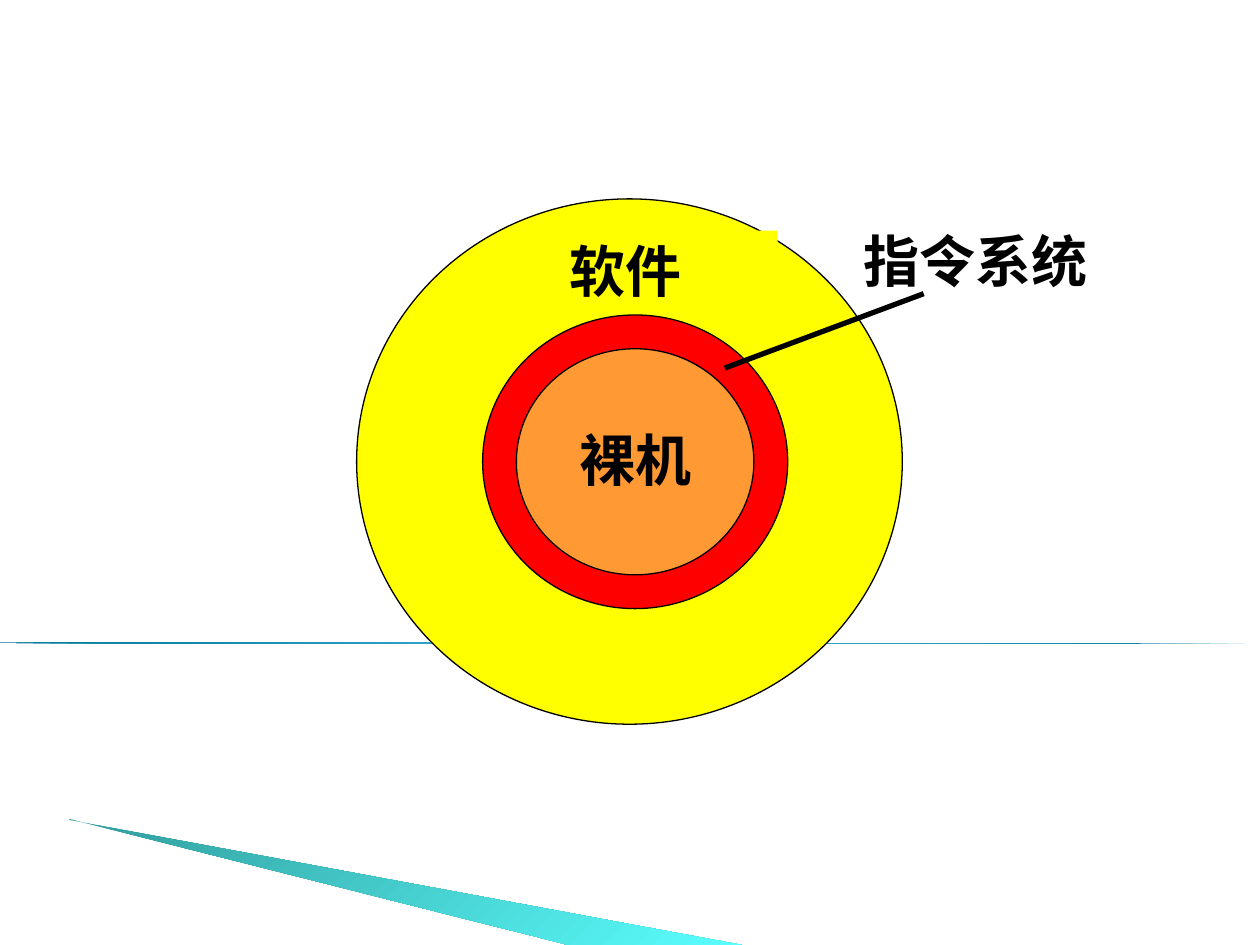
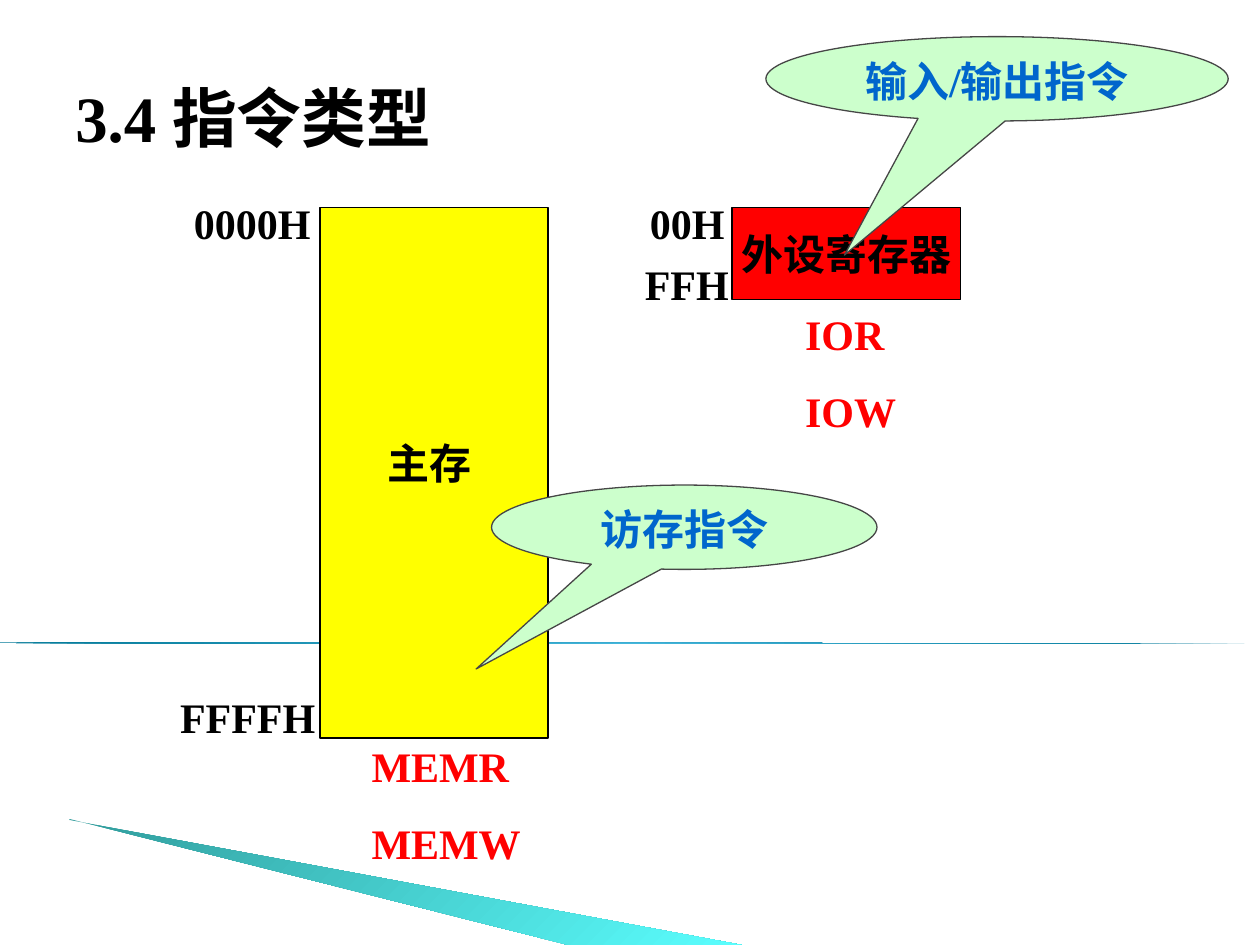
"""Builds two slides on instruction sets: the system rings and the instruction types."""
from dataclasses import dataclass
from typing import Any, Optional

from lxml.etree import SubElement
from pptx import Presentation
from pptx.dml.color import RGBColor
from pptx.enum.shapes import MSO_CONNECTOR, MSO_SHAPE as Preset
from pptx.enum.text import MSO_ANCHOR as Anchor, MSO_AUTO_SIZE as AutoSize, PP_ALIGN as Align
from pptx.oxml.ns import qn
from pptx.util import Cm, Pt


@dataclass(frozen=True)
class Theme:
    latin: str = "Times New Roman"
    east_asian: str = "Noto Sans CJK SC"
    black: str = "000000"
    red: str = "FF0000"
    yellow: str = "FFFF00"
    orange: str = "FF9933"
    mint: str = "CCFFCC"
    blue: str = "0066CC"
    grey: str = "464646"
    rule_stops: tuple = ((0, "007897"), (50, "4ABBE0"), (100, "007897"))
    wedge_stops: tuple = ((0, "319C9C"), (100, "5BFFFF"))
    title_size: float = 37
    ring_size: float = 32
    body_size: float = 24
    outline: float = 0.75
    pointer: float = 3


THEME = Theme()


@dataclass(frozen=True)
class Block:
    box: tuple[float, float, float, float]
    lines: tuple[str, ...] = ()
    preset: Optional[Preset] = None
    fill: Optional[str] = None
    line: Optional[str] = None
    adjustments: tuple[float, ...] = ()
    size: float = THEME.body_size
    color: str = THEME.black
    before: float = 15
    align: Align = Align.LEFT
    anchor: Anchor = Anchor.TOP
    wrap: bool = True


def set_all(target: Any, values: dict[str, Any]) -> None:
    for name, value in values.items():
        setattr(target, name, value)


def rgb(color: str) -> RGBColor:
    return RGBColor.from_string(color)


def write_text(shape: Any, block: Block) -> None:
    frame = shape.text_frame
    set_all(frame, {
        "word_wrap": block.wrap,
        "vertical_anchor": block.anchor,
        "auto_size": AutoSize.NONE if block.preset else AutoSize.SHAPE_TO_FIT_TEXT,
    })
    for index, line in enumerate(block.lines):
        paragraph = frame.add_paragraph() if index else frame.paragraphs[0]
        set_all(paragraph, {"alignment": block.align, "space_before": Pt(block.before)})
        run = paragraph.add_run()
        run.text = line
        set_all(run.font, {"name": THEME.latin, "size": Pt(block.size), "bold": True})
        run.font.color.rgb = rgb(block.color)
        SubElement(run.font._element, qn("a:ea"), typeface=THEME.east_asian) if hasattr(
            run.font, "_element") else SubElement(
            run._r.get_or_add_rPr(), qn("a:ea"), typeface=THEME.east_asian)


def draw_block(slide: Any, block: Block) -> None:
    box = [Cm(length) for length in block.box]
    if block.preset:
        shape = slide.shapes.add_shape(block.preset, *box)
        shape.shadow.inherit = False
        for index, value in enumerate(block.adjustments):
            shape.adjustments[index] = value
        shape.fill.solid()
        shape.fill.fore_color.rgb = rgb(block.fill)
        if block.line:
            shape.line.color.rgb = rgb(block.line)
            shape.line.width = Pt(THEME.outline)
        else:
            shape.line.fill.background()
    else:
        shape = slide.shapes.add_textbox(*box)
    if block.lines:
        write_text(shape, block)


def paint_gradient(shape: Any, stops: tuple, angle: float) -> None:
    shape.shadow.inherit = False
    shape.line.fill.background()
    shape.fill.gradient()
    shape.fill.gradient_angle = 360 - angle
    stop_list = shape._element.spPr.find(".//" + qn("a:gsLst"))
    stop_list.clear()
    for position, color in stops:
        stop = SubElement(stop_list, qn("a:gs"), pos=str(position * 1000))
        SubElement(stop, qn("a:srgbClr"), val=color)


def draw_backdrop(slide: Any) -> None:
    rule = slide.shapes.add_shape(Preset.RIGHT_TRIANGLE, Cm(0), Cm(12.95), Cm(25.43), Cm(0.02))
    paint_gradient(rule, THEME.rule_stops, 50)
    tip, *rest = [(Cm(x), Cm(y)) for x, y in
                  ((1.4, 16.53), (15.11, 19.08), (11.58, 19.08), (1.4, 16.51))]
    builder = slide.shapes.build_freeform(*tip)
    builder.add_line_segments(rest, close=True)
    paint_gradient(builder.convert_to_shape(), THEME.wedge_stops, 45)


def draw_pointer(slide: Any, start: tuple[float, float], end: tuple[float, float]) -> None:
    ends = [Cm(length) for length in (*start, *end)]
    pointer = slide.shapes.add_connector(MSO_CONNECTOR.STRAIGHT, *ends)
    pointer.line.color.rgb = rgb(THEME.black)
    pointer.line.width = Pt(THEME.pointer)
    SubElement(pointer._element.spPr, qn("a:effectLst"))


def ring_label(left: float, top: float, width: float, text: str, **style: Any) -> Block:
    return Block((left, top, width, 1.63), (text,), size=THEME.ring_size, before=20, **style)


def label(left: float, top: float, width: float, text: str) -> Block:
    return Block((left, top, width, 1.27), (text,))


def commands(left: float, top: float, *names: str) -> Block:
    return Block((left, top, 4.65, 2.82), names, color=THEME.red)


def store(left: float, height: float, fill: str, *lines: str) -> Block:
    return Block((left, 4.19, 4.6, height), lines, Preset.RECTANGLE, fill, THEME.black,
                 align=Align.CENTER, anchor=Anchor.MIDDLE, wrap=False)


def callout(left: float, top: float, width: float, text: str, *tip: float) -> Block:
    return Block((left, top, width, 1.7), (text,), Preset.OVAL_CALLOUT, THEME.mint, THEME.grey,
                 tip, color=THEME.blue, align=Align.CENTER)


RINGS = (
    Block((9.96, 6.55, 5.66, 5.51), (), Preset.OVAL, THEME.orange, THEME.orange),
    ring_label(11.43, 8.46, 5, "裸机"),
    Block((7.19, 4.01, 11, 10.59), (), Preset.DONUT, THEME.yellow, THEME.black, (0.25,)),
    ring_label(11.23, 4.65, 4.45, "软件", preset=Preset.RECTANGLE, fill=THEME.yellow),
    Block((9.73, 6.35, 6.15, 5.92), (), Preset.DONUT, THEME.red, THEME.black, (0.115,)),
    ring_label(17.15, 4.45, 5.28, "指令系统"),
)

INSTRUCTION_TYPES = (
    Block((1.27, 0.76, 22.86, 3.18), ("3.4 指令类型",), size=THEME.title_size, before=0,
          anchor=Anchor.MIDDLE),
    store(6.45, 10.69, THEME.yellow),
    store(14.76, 1.85, THEME.red, "外设寄存器"),
    label(7.57, 8.69, 2.87, "主存"),
    label(3.66, 3.86, 3.76, "0000H"),
    label(12.85, 3.86, 2.29, "00H"),
    label(3.38, 13.82, 3.28, "FFFFH"),
    label(12.75, 5.08, 3.28, "FFH"),
    callout(9.91, 9.78, 7.77, "访存指令", -0.54, 1.68),
    callout(15.44, 0.74, 9.32, "输入/输出指令", -0.33, 2.09),
    commands(7.24, 14.81, "MEMR", "MEMW"),
    commands(15.98, 6.1, "IOR", "IOW"),
)


def add_slide(presentation: Any, blocks: tuple[Block, ...]) -> Any:
    slide = presentation.slides.add_slide(presentation.slide_layouts[6])
    draw_backdrop(slide)
    for block in blocks:
        draw_block(slide, block)
    return slide


def main() -> None:
    presentation = Presentation()
    set_all(presentation, {"slide_width": Cm(25.4), "slide_height": Cm(19.05)})
    rings = add_slide(presentation, RINGS)
    draw_pointer(rings, (14.61, 7.42), (18.62, 5.92))
    add_slide(presentation, INSTRUCTION_TYPES)
    presentation.save("out.pptx")


if __name__ == "__main__":
    main()
